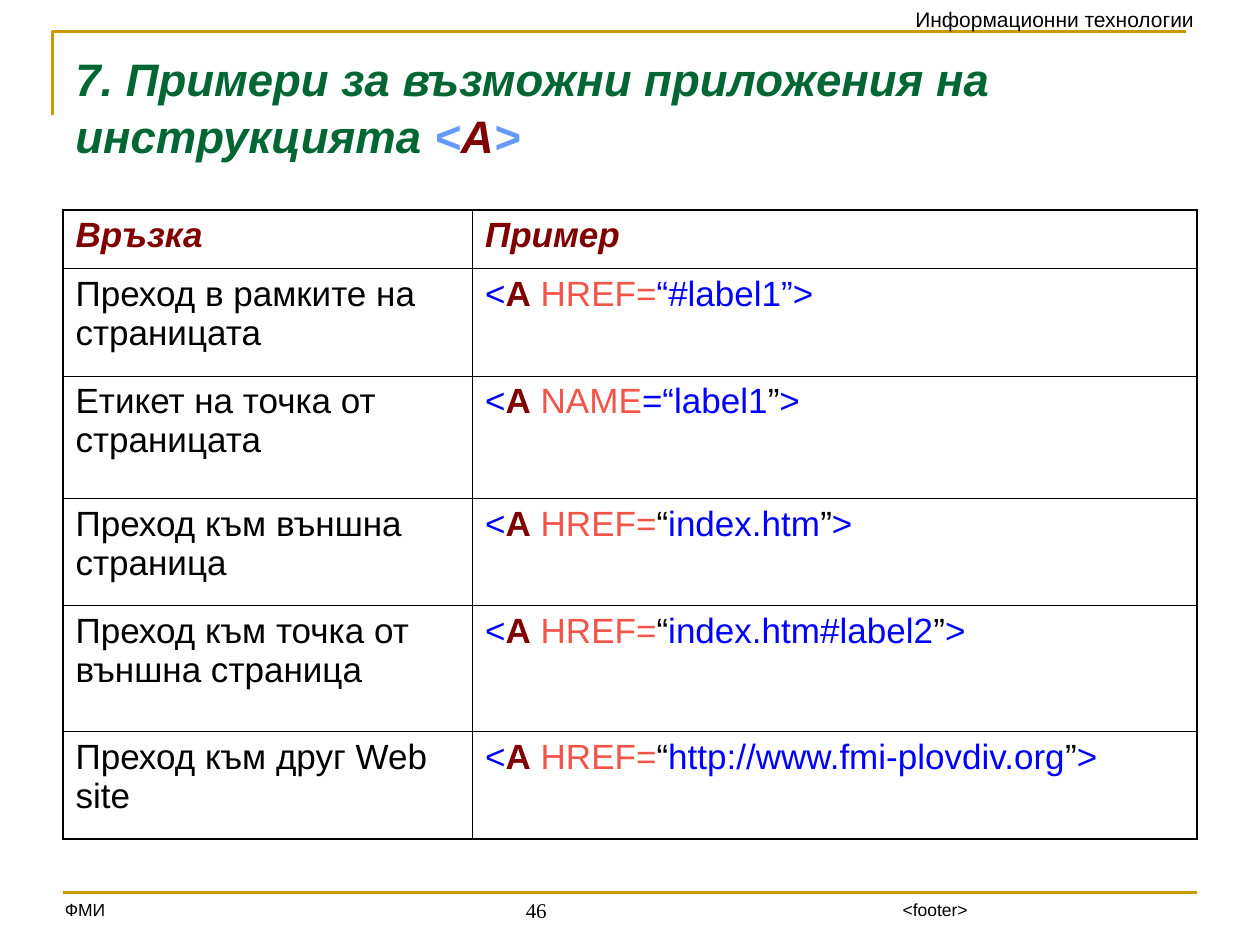
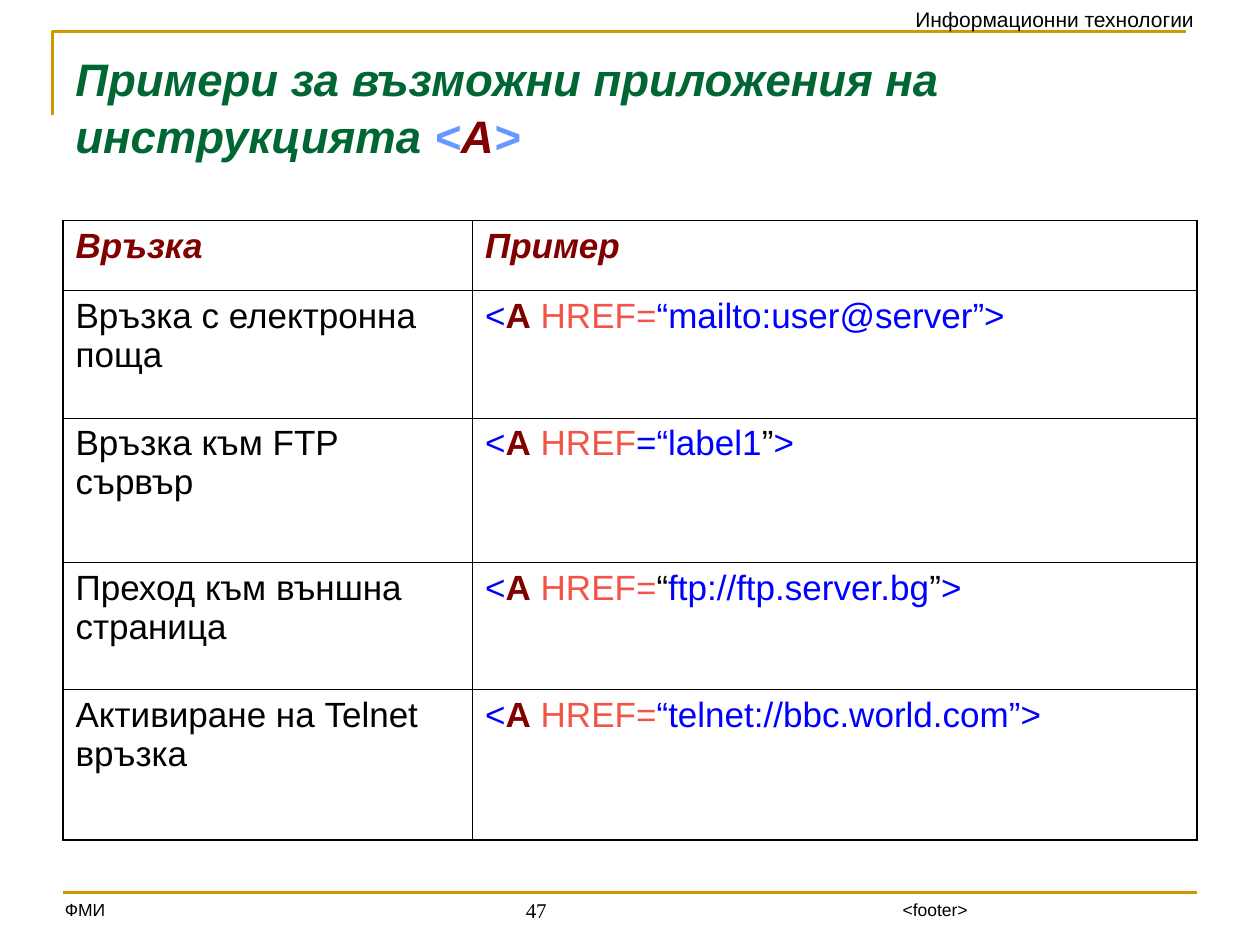
import pptx
import pptx.dml.color
import pptx.enum.text
import pptx.oxml
import pptx.oxml.ns
import pptx.util

INK = {
    "gold": "CC9900", "green": "006633", "sky": "6699FF", "wine": "800000",
    "blue": "0000FF", "coral": "F25448", "black": "000000",
}
STYLE = {
    "title": {"name": "Arial", "size": pptx.util.Pt(26), "bold": True, "italic": True},
    "head": {"name": "Arial", "size": pptx.util.Pt(20), "bold": True, "italic": True},
    "cell": {"name": "Arial", "size": pptx.util.Pt(20)},
    "tag": {"name": "Arial", "size": pptx.util.Pt(20), "bold": True},
    "band": {"name": "Arial", "size": pptx.util.Pt(12)},
    "foot": {"name": "Arial", "size": pptx.util.Pt(10)},
    "page": {"name": "Times New Roman", "size": pptx.util.Pt(12)},
}
COLS, ROWS = 120, 90
THICK, THIN = 1.08, 0.45


def tint(ink):
    """Return the colour object for a named ink."""
    return pptx.dml.color.RGBColor.from_string(INK[ink])


def link(word, rest):
    """Return the runs of an A tag; bars in rest switch between blue and black."""
    runs = [("<", "blue", "cell"), ("А ", "wine", "tag"), (word, "coral", "cell")]
    for step, part in enumerate(rest.split("|")):
        if part:
            runs.append((part, ("blue", "black")[step % 2], "cell"))
    return runs


class Deck:
    """Holds the style and the current slide of a 120 by 90 grid."""

    def __init__(self):
        """Start an empty deck."""
        self.show = pptx.Presentation()
        self.show.slide_width = pptx.util.Inches(10)
        self.show.slide_height = pptx.util.Inches(7.5)
        self.slide = None

    def grid(self, *spans):
        """Turn alternating columns and rows into lengths."""
        units = (self.show.slide_width / COLS, self.show.slide_height / ROWS)
        return [round(span * units[i % 2]) for i, span in enumerate(spans)]

    def fill(self, para, runs):
        """Fill a paragraph with runs of text, ink and style."""
        for text, ink, style in runs:
            run = para.add_run()
            run.text = text
            for key, value in STYLE[style].items():
                setattr(run.font, key, value)
            run.font.color.rgb = tint(ink)

    def text(self, place, runs, **form):
        """Add a text box and return its paragraph."""
        frame = self.slide.shapes.add_textbox(*self.grid(*place)).text_frame
        frame.word_wrap = True
        for key, value in form.items():
            setattr(frame, key, value)
        para = frame.paragraphs[0]
        self.fill(para, runs)
        return para

    def stroke(self, shape):
        """Give a line shape the gold pen."""
        shape.line.color.rgb = tint("gold")
        shape.line.width = pptx.util.Pt(1.5)

    def frame(self):
        """Draw the corner line and the foot line."""
        start, *rest = [self.grid(*spot) for spot in ((5, 11), (5, 3), (113, 3))]
        outline = self.slide.shapes.build_freeform(*start)
        outline.add_line_segments(rest, close=False)
        angle = outline.convert_to_shape()
        angle.shadow.inherit = False
        angle.fill.background()
        self.stroke(angle)
        rule = self.slide.shapes.add_connector(1, *self.grid(6, 85, 114, 85))
        self.stroke(rule)
        rule._element.spPr.append(pptx.oxml.parse_xml(
            f"<a:effectLst {pptx.oxml.ns.nsdecls('a')}/>"))

    def edge(self, cell, side, width):
        """Add one black border to a cell."""
        cell._tc.get_or_add_tcPr().append(pptx.oxml.parse_xml(
            f'<a:ln{side} {pptx.oxml.ns.nsdecls("a")} w="{pptx.util.Pt(width)}">'
            f'<a:solidFill><a:srgbClr val="{INK["black"]}"/></a:solidFill>'
            f'</a:ln{side}>'))

    def table(self, top, heights, pairs):
        """Add the table of link kinds and samples."""
        lines = [[[(word, "wine", "head")] for word in ("Връзка", "Пример")]]
        lines += [[[(name, "black", "cell")], link(*code)] for name, *code in pairs]
        place = self.grid(6, top, 108, sum(heights))
        table = self.slide.shapes.add_table(len(lines), 2, *place).table
        table.first_row = table.horz_banding = False
        for col, width in zip(table.columns, (39, 69)):
            col.width = self.grid(width)[0]
        for i, (row, height) in enumerate(zip(table.rows, heights)):
            row.height = self.grid(0, height)[1]
            last = i == len(lines) - 1
            for j, cell in enumerate(row.cells):
                outer = {"L": j == 0, "R": j == 1, "T": i == 0, "B": last}
                for side, rim in outer.items():
                    self.edge(cell, side, THICK if rim else THIN)
                cell.fill.background()
                self.fill(cell.text_frame.paragraphs[0], lines[i][j])

    def page(self, number, title, top, heights, pairs):
        """Add a whole slide."""
        self.slide = self.show.slides.add_slide(self.show.slide_layouts[6])
        self.frame()
        self.text((5, 85, 17, 3.25), [("ФМИ", "black", "foot")])
        self.text((86, 0, 31, 3.6), [("Информационни технологии", "black", "band")])
        self.text((84.8, 85, 31.5, 3.25), [("<footer>", "black", "foot")])
        inks = zip((title, "<", "А", ">"), ("green", "sky", "wine", "sky"))
        head = self.text((6, 4, 108, 13), [(part, ink, "title") for part, ink in inks])
        head.line_spacing = 1.05
        self.table(top, heights, pairs)
        count = self.text((32.25, 82.5, 21, 6), [(str(number), "black", "page")],
                          vertical_anchor=pptx.enum.text.MSO_ANCHOR.BOTTOM)
        count.alignment = pptx.enum.text.PP_ALIGN.RIGHT


def main():
    """Build and save both slides."""
    deck = Deck()
    title = "Примери за възможни приложения на инструкцията "
    deck.page(46, "7. " + title, 20, (5.6, 10.2, 11.7, 10.2, 12, 10.2), [
        ("Преход в рамките на страницата", "HREF=", "“#label1”>"),
        ("Eтикет на точка от страницата", "NAME", "=“label1|”|>"),
        ("Преход към външна страница", "HREF=", "|“|index.htm|”|>"),
        ("Преход към точка от външна страница", "HREF=", "|“|index.htm#label2|”|>"),
        ("Преход към друг Web site", "HREF=", "|“|http://www.fmi-plovdiv.org|”|>"),
    ])
    deck.page(47, title, 21, (6.7, 12.1, 13.8, 12.1, 14.3), [
        ("Връзка с електронна поща", "HREF=", "“mailto:user@server”>"),
        ("Връзка към FTP сървър", "HREF", "=“label1|”|>"),
        ("Преход към външна страница", "HREF=", "|“|ftp://ftp.server.bg|”|>"),
        ("Активиране на Telnet връзка", "HREF=", "“telnet://bbc.world.com”>"),
    ])
    deck.show.save("out.pptx")


if __name__ == "__main__":
    main()
